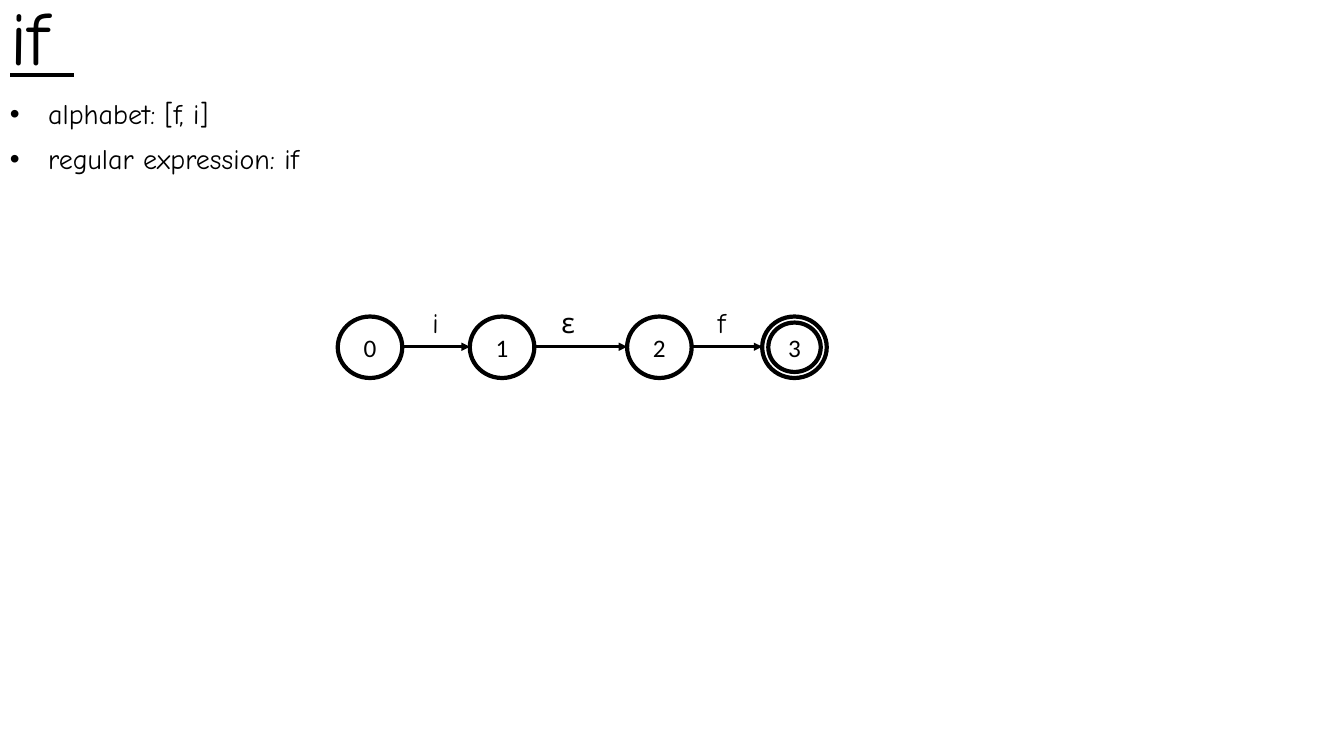
from lxml.etree import SubElement
from pptx import Presentation
from pptx.dml.color import RGBColor
from pptx.enum.shapes import MSO_CONNECTOR as Connector, MSO_SHAPE as Shape
from pptx.enum.text import MSO_ANCHOR as Anchor, MSO_AUTO_SIZE as AutoSize, PP_ALIGN as Align
from pptx.oxml.ns import qn
from pptx.util import Inches, Pt

BLACK = RGBColor(0, 0, 0)
HAND_FONT = "Comic Neue"
STATE_FONT = "Calibri"
STATE_WIDTH, STATE_HEIGHT = 0.64, 0.61
ACCEPT_INSET = 0.06


def write(frame, *lines, size=20, font=HAND_FONT, align=Align.LEFT, anchor=Anchor.TOP,
          underline=None, spacing=0.9, before=10, bullet_indent=None):
    frame.word_wrap = True
    frame.auto_size = AutoSize.NONE
    frame.vertical_anchor = anchor
    for index, line in enumerate(lines):
        paragraph = frame.add_paragraph() if index else frame.paragraphs[0]
        paragraph.alignment = align
        paragraph.line_spacing = spacing
        paragraph.space_before = Pt(before)
        run = paragraph.add_run()
        run.text = line
        run.font.size = Pt(size)
        run.font.name = font
        run.font.underline = underline
        run.font.color.rgb = BLACK
        if bullet_indent:
            properties = paragraph._p.get_or_add_pPr()
            properties.set("marL", str(Inches(bullet_indent)))
            properties.set("indent", str(-Inches(bullet_indent)))
            SubElement(properties, qn("a:buFont"), typeface="Arial")
            SubElement(properties, qn("a:buChar"), char="•")


def add_heading(slide, left, top, width, height):
    title = slide.shapes.title
    title.left, title.top = Inches(left), Inches(top)
    title.width, title.height = Inches(width), Inches(height)
    write(title.text_frame, "if ", size=54, anchor=Anchor.BOTTOM, underline=True, before=0)


def add_text(slide, left, top, width, height, *lines, **style):
    box = slide.shapes.add_textbox(Inches(left), Inches(top), Inches(width), Inches(height))
    write(box.text_frame, *lines, **style)


def add_ring(slide, left, top, width, height):
    ring = slide.shapes.add_shape(
        Shape.OVAL, Inches(left), Inches(top), Inches(width), Inches(height))
    ring.shadow.inherit = False
    ring.fill.background()
    ring.line.color.rgb = BLACK
    ring.line.width = Pt(3)
    return ring


def add_state(slide, left, top, label, accepting=False):
    state = add_ring(slide, left, top, STATE_WIDTH, STATE_HEIGHT)
    write(state.text_frame, label, size=18, font=STATE_FONT, align=Align.CENTER,
          anchor=Anchor.MIDDLE, spacing=1.0, before=0)
    if accepting:
        add_ring(slide, left + ACCEPT_INSET, top + ACCEPT_INSET,
                 STATE_WIDTH - 2 * ACCEPT_INSET, STATE_HEIGHT - 2 * ACCEPT_INSET)


def add_transition(slide, start, end, y):
    arrow = slide.shapes.add_connector(
        Connector.STRAIGHT, Inches(start), Inches(y), Inches(end), Inches(y))
    arrow.line.color.rgb = BLACK
    arrow.line.width = Pt(2)
    SubElement(arrow.line._get_or_add_ln(), qn("a:tailEnd"), type="triangle")
    SubElement(arrow._element.spPr, qn("a:effectLst"))


def add_automaton(slide, left, top):
    state_lefts = [left + offset for offset in (0, 1.31, 2.87, 4.21)]
    for number, state_left in enumerate(state_lefts):
        add_state(slide, state_left, top, str(number), accepting=state_left == state_lefts[-1])
    symbols = [("i", 0.84), ("ε", 2.12), ("f", 3.67)]
    for source, target, (symbol, offset) in zip(state_lefts, state_lefts[1:], symbols):
        add_transition(slide, source + STATE_WIDTH, target, top + 0.3)
        add_text(slide, left + offset, top - 0.12, 0.6, 0.61, symbol)


def main():
    deck = Presentation()
    deck.slide_width, deck.slide_height = Inches(13.33), Inches(7.5)
    slide = deck.slides.add_slide(deck.slide_layouts[5])
    add_heading(slide, 0, 0, 10, 0.86)
    add_text(slide, 0, 0.95, 13.33, 0.85, "alphabet: [f, i]", "regular expression: if",
             bullet_indent=0.38)
    add_automaton(slide, 3.35, 3.14)
    deck.save("out.pptx")


if __name__ == "__main__":
    main()
